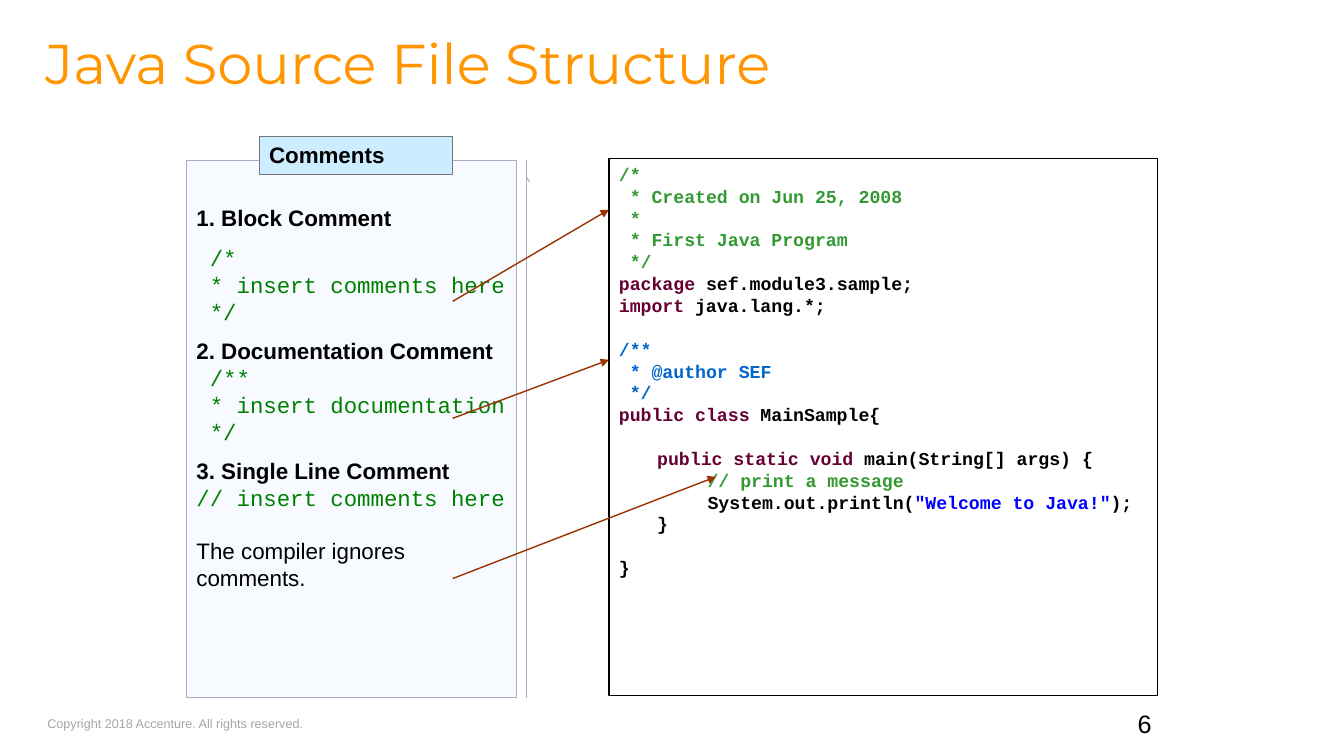
from dataclasses import dataclass
from typing import NamedTuple

from lxml import etree
from pptx import Presentation
from pptx.dml.color import RGBColor
from pptx.enum.shapes import MSO_CONNECTOR, MSO_SHAPE
from pptx.enum.text import MSO_ANCHOR, PP_ALIGN
from pptx.oxml.ns import qn
from pptx.util import Emu, Pt

PX = 9144  # one hundredth of an inch
RECT = MSO_SHAPE.RECTANGLE
CALLOUT = MSO_SHAPE.LINE_CALLOUT_1_BORDER_AND_ACCENT_BAR
STRAIGHT = MSO_CONNECTOR.STRAIGHT
LEFT, RIGHT = PP_ALIGN.LEFT, PP_ALIGN.RIGHT
TOP, BOTTOM = MSO_ANCHOR.TOP, MSO_ANCHOR.BOTTOM

BLACK = RGBColor(0x00, 0x00, 0x00)
GRAY = RGBColor(0xA6, 0xA6, 0xA6)
ORANGE = RGBColor(0xFF, 0x95, 0x00)
PANEL_FILL = RGBColor(0xF7, 0xFB, 0xFF)
PANEL_LINE = RGBColor(0xA6, 0xAD, 0xC4)
LABEL_FILL = RGBColor(0xCC, 0xEC, 0xFF)
LABEL_LINE = RGBColor(0x77, 0x77, 0x77)
ARROW = RGBColor(0x99, 0x33, 0x00)
SAMPLE = RGBColor(0x00, 0x80, 0x00)
COMMENT = RGBColor(0x33, 0x99, 0x33)
JAVADOC = RGBColor(0x00, 0x66, 0xCC)
KEYWORD = RGBColor(0x66, 0x00, 0x33)
STRING = RGBColor(0x00, 0x00, 0xFF)


class Style(NamedTuple):
    size: int
    color: RGBColor = BLACK
    font: str = "Arial"
    bold: bool = False


class Run(NamedTuple):
    text: str
    style: Style


@dataclass
class Line:
    runs: list[Run]
    before: float = 0
    spacing: float = 1.0
    align: PP_ALIGN = LEFT
    hanging: int = 0


@dataclass
class Box:
    left: int
    top: int
    width: int
    height: int
    lines: list[Line]
    insets: tuple[int, int, int, int] = (10, 5, 10, 5)
    anchor: MSO_ANCHOR = TOP
    wrap: bool = True


@dataclass
class Panel(Box):
    kind: MSO_SHAPE = RECT
    fill: RGBColor | None = None
    opacity: int = 100
    line: RGBColor = BLACK
    weight: float = 0.75
    adjustments: tuple[float, ...] = ()


class Arrow(NamedTuple):
    x1: int
    y1: int
    x2: int
    y2: int


def px(n: int) -> Emu:
    return Emu(n * PX)


def write(s, box: Box) -> None:
    tf = s.text_frame
    left, top, right, bottom = map(px, box.insets)
    frame = dict(margin_left=left, margin_top=top, margin_right=right,
                 margin_bottom=bottom, vertical_anchor=box.anchor,
                 word_wrap=box.wrap)
    for name, value in frame.items():
        setattr(tf, name, value)
    for i, line in enumerate(box.lines):
        p = tf.add_paragraph() if i else tf.paragraphs[0]
        if line.hanging:
            pPr = p._p.get_or_add_pPr()
            pPr.set("marL", str(px(line.hanging)))
            pPr.set("indent", str(px(-line.hanging)))
        spacing = dict(space_before=Pt(line.before), alignment=line.align,
                       line_spacing=line.spacing)
        for name, value in spacing.items():
            setattr(p, name, value)
        for text, style in line.runs:
            r = p.add_run()
            r.text = text
            font = dict(size=Pt(style.size), name=style.font, bold=style.bold)
            for name, value in font.items():
                setattr(r.font, name, value)
            r.font.color.rgb = style.color


def add_text(slide, box: Box) -> None:
    bounds = map(px, (box.left, box.top, box.width, box.height))
    write(slide.shapes.add_textbox(*bounds), box)


def add_panel(slide, panel: Panel) -> None:
    bounds = map(px, (panel.left, panel.top, panel.width, panel.height))
    s = slide.shapes.add_shape(panel.kind, *bounds)
    s.shadow.inherit = False
    for i, value in enumerate(panel.adjustments):
        s.adjustments[i] = value
    if panel.fill is None:
        s.fill.background()
    else:
        s.fill.solid()
        s.fill.fore_color.rgb = panel.fill
        if panel.opacity < 100:
            color = s._element.spPr.find(".//" + qn("a:srgbClr"))
            etree.SubElement(color, qn("a:alpha"), val=str(panel.opacity * 1000))
    s.line.color.rgb = panel.line
    s.line.width = Pt(panel.weight)
    write(s, panel)


def add_arrow(slide, arrow: Arrow) -> None:
    s = slide.shapes.add_connector(STRAIGHT, *map(px, arrow))
    s.line.color.rgb = ARROW
    s.line.width = Pt(1)
    etree.SubElement(s.line._get_or_add_ln(), qn("a:tailEnd"), type="triangle")
    etree.SubElement(s._element.spPr, qn("a:effectLst"))


BODY = Style(16)
HEADING = Style(16, bold=True)
SYNTAX = Style(16, SAMPLE, "Courier New")
HALF_LINE, BODY_LINE, CODE_LINE = 9, 18.5, 15.5


def code(*parts: tuple[str, RGBColor], before: float = 0) -> Line:
    runs = [Run(text, Style(13, color, "Courier New", True)) for text, color in parts]
    return Line(runs, before, hanging=38)


def syntax(text: str, before: float = 0) -> Line:
    return Line([Run(text, SYNTAX)], before)


def heading(text: str, before: float = HALF_LINE) -> Line:
    return Line([Run(text, HEADING)], before)


COMMENT_KINDS = [
    heading("1. Block Comment", before=0),
    syntax(" /*", before=HALF_LINE),
    syntax(" * insert comments here"),
    syntax(" */"),
    heading("2. Documentation Comment"),
    syntax(" /**"),
    syntax(" * insert documentation"),
    syntax(" */"),
    heading("3. Single Line Comment"),
    syntax("// insert comments here"),
    Line([Run("The compiler ignores comments.", BODY)], BODY_LINE),
]
PROGRAM = [
    code(("/*", COMMENT)),
    code((" * Created on Jun 25, 2008", COMMENT)),
    code((" *", COMMENT)),
    code((" * First Java Program", COMMENT)),
    code((" */", COMMENT)),
    code(("package", KEYWORD), (" sef.module3.sample;", BLACK)),
    code(("import", KEYWORD), (" java.lang.*;", BLACK)),
    code(("/**", JAVADOC), before=CODE_LINE),
    code((" * @author SEF", JAVADOC)),
    code((" */", JAVADOC)),
    code(("public class", KEYWORD), (" MainSample{", BLACK)),
    code(("\tpublic static void", KEYWORD), (" main(String[] args) {", BLACK),
         before=CODE_LINE),
    code(("\t\t// print a message", COMMENT)),
    code(("\t\tSystem.out.println(", BLACK), ('"Welcome to Java!"', STRING),
         (");", BLACK)),
    code(("\t}", BLACK)),
    code(("}", BLACK), before=CODE_LINE),
]
TEXTS = [
    Box(47, 705, 257, 25, [Line([Run("Copyright 2018 Accenture. All rights reserved.",
        Style(9, GRAY))])], insets=(0, 5, 0, 5), wrap=False),
    Box(967, 708, 185, 30, [Line([Run("6", Style(18))], align=RIGHT)], anchor=BOTTOM),
    Box(45, 41, 832, 109, [Line([Run("Java Source File Structure",
        Style(40, ORANGE, "Montserrat"))], spacing=0.8)], insets=(0, 0, 0, 0)),
]
PANELS = [
    Panel(185, 159, 327, 533, COMMENT_KINDS, insets=(10, 44, 5, 5), kind=CALLOUT,
          fill=PANEL_FILL, opacity=90, line=PANEL_LINE,
          adjustments=(0.03, 1.03, 0.04, 1.04)),
    Panel(604, 157, 544, 533, PROGRAM, weight=1),
    Panel(257, 135, 192, 38, [heading("Comments", before=0)],
          fill=LABEL_FILL, line=LABEL_LINE),
]
ARROWS = [Arrow(449, 299, 604, 208), Arrow(449, 415, 604, 357),
          Arrow(449, 574, 710, 473)]


def main() -> None:
    prs = Presentation()
    prs.slide_width, prs.slide_height = px(1333), px(750)
    slide = prs.slides.add_slide(prs.slide_layouts[6])
    for items, draw in ((TEXTS, add_text), (PANELS, add_panel), (ARROWS, add_arrow)):
        for item in items:
            draw(slide, item)
    prs.save("out.pptx")


if __name__ == "__main__":
    main()
